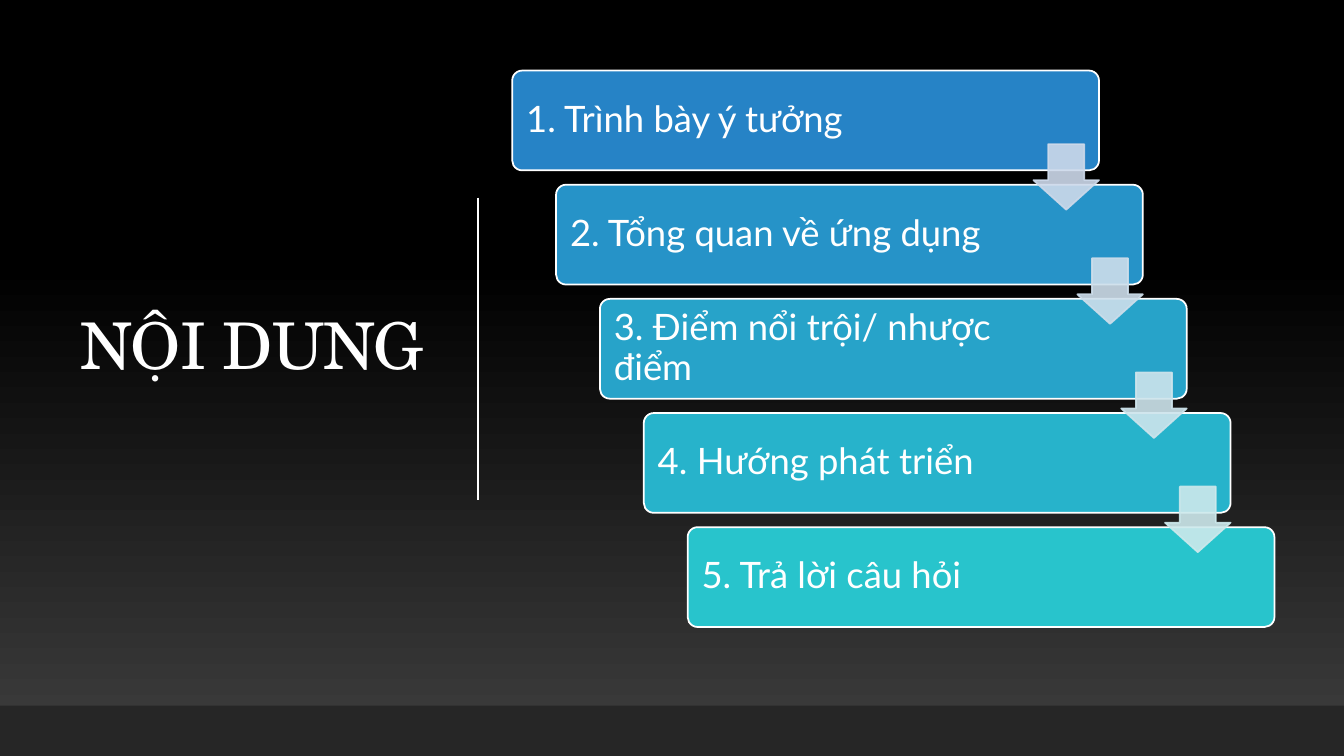
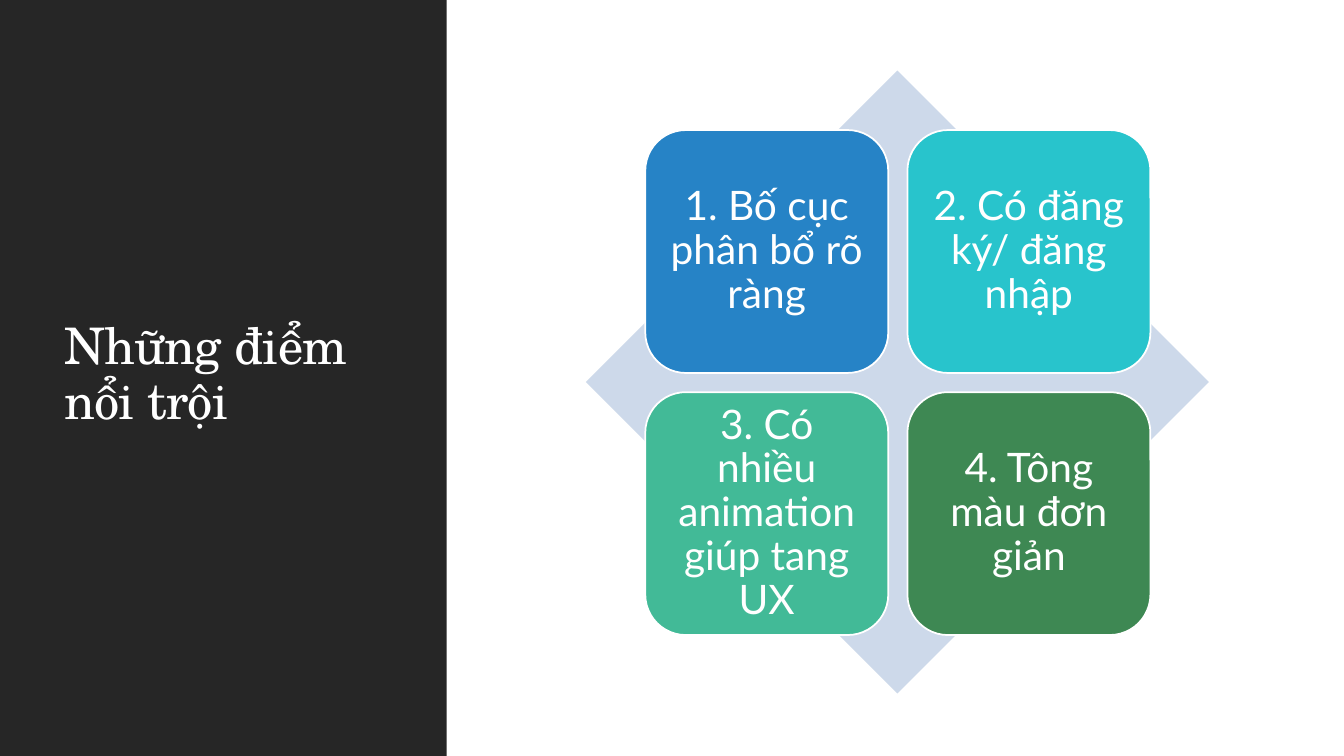
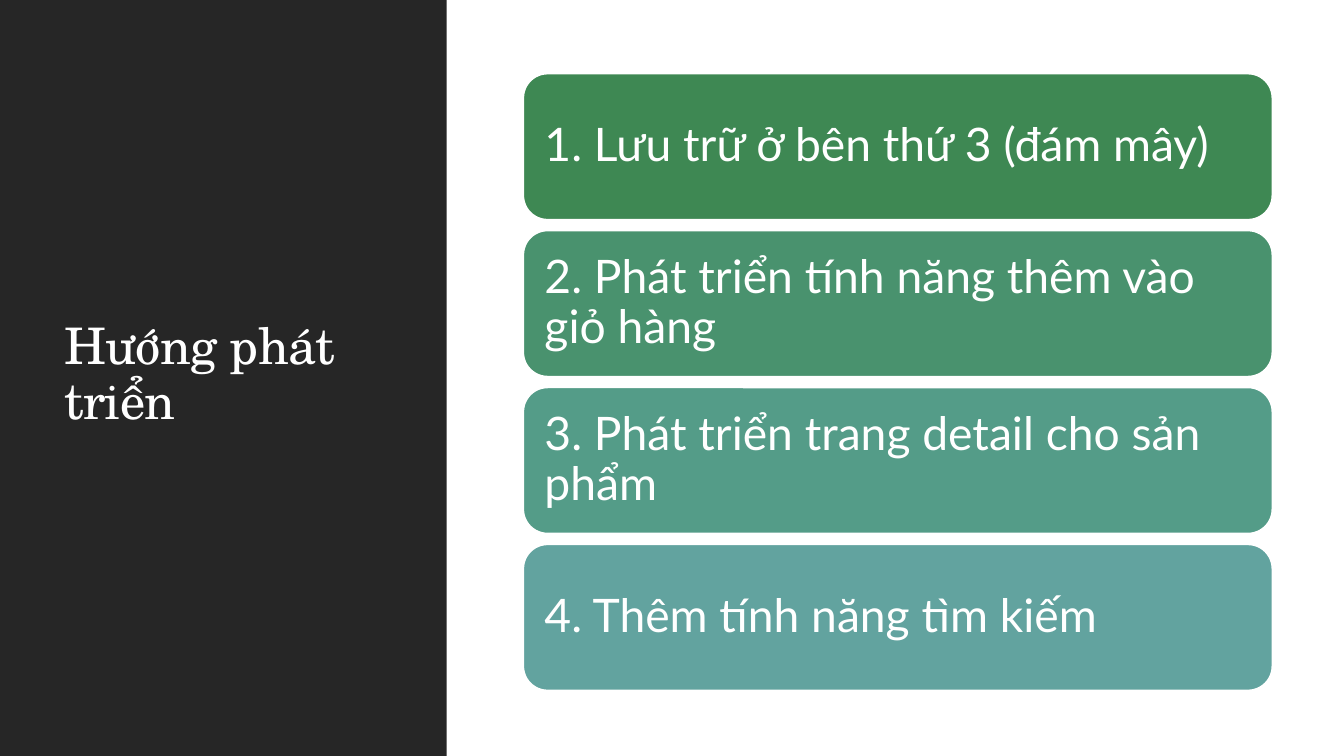
"""Build three slides: contents, strong points and future development."""
from pptx import Presentation
from pptx.dml.color import RGBColor
from pptx.enum.shapes import MSO_CONNECTOR, MSO_SHAPE as SHAPE
from pptx.enum.text import MSO_ANCHOR, PP_ALIGN
from pptx.oxml.ns import qn
from pptx.util import Inches, Pt
from lxml.etree import SubElement

CONTENTS = [
    ("1. Trình bày ý tưởng", RGBColor(0x26, 0x83, 0xC6)),
    ("2. Tổng quan về ứng dụng", RGBColor(0x26, 0x93, 0xC8)),
    ("3. Điểm nổi trội/ nhược điểm", RGBColor(0x27, 0xA3, 0xC9)),
    ("4. Hướng phát triển", RGBColor(0x27, 0xB3, 0xCB)),
    ("5. Trả lời câu hỏi", RGBColor(0x28, 0xC4, 0xCC)),
]
ARROW_COLORS = [
    RGBColor(0xCD, 0xD9, 0xEA),
    RGBColor(0xCD, 0xDE, 0xEB),
    RGBColor(0xCD, 0xE4, 0xEC),
    RGBColor(0xCD, 0xE9, 0xEC),
]
STRENGTHS = [
    ("1. Bố cục phân bổ rõ ràng", RGBColor(0x26, 0x83, 0xC6)),
    ("2. Có đăng ký/ đăng nhập", RGBColor(0x28, 0xC4, 0xCC)),
    ("3. Có nhiều animation giúp tang UX", RGBColor(0x42, 0xBA, 0x97)),
    ("4. Tông màu đơn giản", RGBColor(0x3E, 0x88, 0x53)),
]
PLANS = [
    ("1. Lưu trữ ở bên thứ 3 (đám mây)", RGBColor(0x3E, 0x88, 0x53)),
    ("2. Phát triển tính năng thêm vào giỏ hàng", RGBColor(0x49, 0x92, 0x6E)),
    ("3. Phát triển trang detail cho sản phẩm", RGBColor(0x54, 0x9C, 0x88)),
    ("4. Thêm tính năng tìm kiếm", RGBColor(0x62, 0xA3, 0x9F)),
]

WHITE = RGBColor(0xFF, 0xFF, 0xFF)
BLACK = RGBColor(0x00, 0x00, 0x00)
GRAY = RGBColor(0x3F, 0x3F, 0x3F)
DARK = RGBColor(0x26, 0x26, 0x26)
PALE = RGBColor(0xCD, 0xD9, 0xEA)
TITLE_FONT, BODY_FONT = "TeX Gyre Schola", "Lato"
WIDTH, HEIGHT = 13.33, 7.5


def write(tf, text, font, size, align=PP_ALIGN.LEFT):
    tf.word_wrap = True
    tf.vertical_anchor = MSO_ANCHOR.MIDDLE
    p = tf.paragraphs[0]
    p.alignment = align
    p.line_spacing = 0.9
    r = p.add_run()
    r.text = text
    r.font.name = font
    r.font.size = Pt(size)
    r.font.color.rgb = WHITE
    return r


def add_shape(s, kind, box, fill, line=None):
    sp = s.shapes.add_shape(kind, *map(Inches, box))
    sp.shadow.inherit = False
    sp.fill.solid()
    sp.fill.fore_color.rgb = fill
    if line is None:
        sp.line.fill.background()
    else:
        sp.line.color.rgb = line
        sp.line.width = Pt(1.25)
    return sp


def add_card(s, box, item, size, inset, align=PP_ALIGN.LEFT, corner=None, right=None):
    text, fill = item
    sp = add_shape(s, SHAPE.ROUNDED_RECTANGLE, box, fill, WHITE)
    if corner is not None:
        sp.adjustments[0] = corner
    tf = sp.text_frame
    tf.margin_left = tf.margin_top = tf.margin_bottom = Inches(inset)
    tf.margin_right = Inches(inset if right is None else right)
    write(tf, text, BODY_FONT, size, align)


def add_title(s, box, text, size):
    tf = s.shapes.add_textbox(*map(Inches, box)).text_frame
    r = write(tf, text, TITLE_FONT, size)
    r.font._element.set("spc", "-50")


def add_arrow(s, box, color):
    sp = add_shape(s, SHAPE.DOWN_ARROW, box, color, color)
    sp.adjustments[0], sp.adjustments[1] = 0.55, 0.45
    for clr in sp._element.spPr.iter(qn("a:srgbClr")):
        SubElement(clr, qn("a:alpha")).set("val", "90000")


def new_slide(prs):
    return prs.slides.add_slide(prs.slide_layouts[6])


def panel_slide(prs, title):
    s = new_slide(prs)
    add_shape(s, SHAPE.RECTANGLE, (0, 0, 4.43, HEIGHT), DARK)
    add_title(s, (0.54, 0.57, 3.37, 6.31), title, 36)
    return s


def contents_slide(prs):
    s = new_slide(prs)
    fill = s.background.fill
    fill.gradient()
    fill.gradient_angle = 90
    for stop, (position, color) in zip(fill.gradient_stops, [(0, GRAY), (0.65, BLACK)]):
        stop.position = position
        stop.color.rgb = color
    add_title(s, (0.7, 0.69, 3.69, 5.53), "NỘI DUNG", 46)
    divider = s.shapes.add_connector(
        MSO_CONNECTOR.STRAIGHT, Inches(4.74), Inches(1.96), Inches(4.74), Inches(4.96))
    divider.line.color.rgb = WHITE
    divider.line.width = Pt(1)
    SubElement(divider._element.spPr, qn("a:effectLst"))
    add_shape(s, SHAPE.RECTANGLE, (0, 7, WIDTH, 0.5), DARK)

    left, top, w, h = 5.08, 0.7, 5.82, 0.99
    steps = len(CONTENTS) - 1
    dx, dy = (6.82 - left) / steps, (5.23 - top) / steps
    for i, item in enumerate(CONTENTS):
        box = (left + i * dx, top + i * dy, w, h)
        add_card(s, box, item, 26, 0.11, corner=0.1, right=1.19)
    side = 0.65
    for i, color in enumerate(ARROW_COLORS):
        add_arrow(s, (left + w - side + i * dx, 1.43 + i * dy, side, side), color)


def strengths_slide(prs):
    s = panel_slide(prs, "Những điểm nổi trội")
    add_shape(s, SHAPE.DIAMOND, (5.81, 0.7, 6.18, 6.18), PALE)
    side, pitch = 2.41, 2.6
    for i, item in enumerate(STRENGTHS):
        row, col = divmod(i, 2)
        box = (6.4 + col * pitch, 1.29 + row * pitch, side, side)
        add_card(s, box, item, 29, 0.12, PP_ALIGN.CENTER)


def plans_slide(prs):
    s = panel_slide(prs, "Hướng phát triển")
    top, h = 0.73, 1.45
    pitch = (5.4 - top) / (len(PLANS) - 1)
    for i, item in enumerate(PLANS):
        add_card(s, (5.19, top + i * pitch, 7.43, h), item, 33, 0.14)


def main():
    prs = Presentation()
    prs.slide_width, prs.slide_height = Inches(WIDTH), Inches(HEIGHT)
    contents_slide(prs)
    strengths_slide(prs)
    plans_slide(prs)
    prs.save("out.pptx")


if __name__ == "__main__":
    main()
